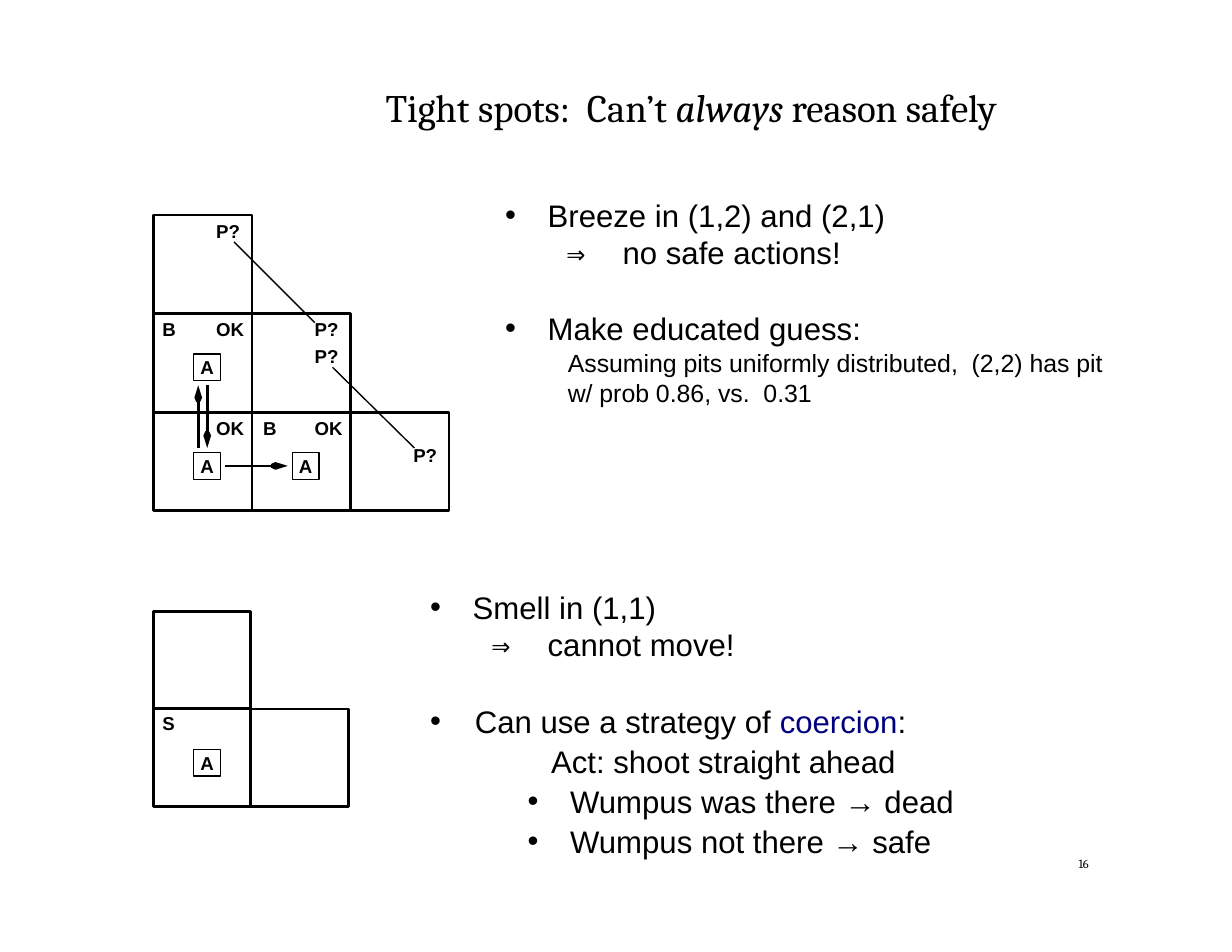
"""Build a slide on tight spots in the Wumpus world."""
import pptx
import pptx.util
import pptx.dml.color
import pptx.enum.shapes
import pptx.enum.text
from lxml import etree
from pptx.oxml.ns import qn

Inches = pptx.util.Inches
Pt = pptx.util.Pt
RGB = pptx.dml.color.RGBColor.from_string
KIND = pptx.enum.shapes.MSO_SHAPE
ALIGN = pptx.enum.text.PP_ALIGN
COLORS = {"ink": "000000", "navy": "00007E"}

deck = pptx.Presentation()
deck.slide_width = Inches(11)
deck.slide_height = Inches(8.5)
slide = deck.slides.add_slide(deck.slide_layouts[6])


def box(x, y, w, h, wrap=False, edge=0):
    """Return the text frame of a text box, or of a square if it has an edge."""
    place = [Inches(n) for n in (x, y, w, h)]
    if edge:
        shape = slide.shapes.add_shape(KIND.RECTANGLE, *place)
        shape.shadow.inherit = False
        shape.fill.background()
        shape.line.color.rgb = RGB(COLORS["ink"])
        shape.line.width = Pt(edge)
    else:
        shape = slide.shapes.add_textbox(*place)
    frame = shape.text_frame
    frame.word_wrap = wrap
    frame.margin_left = frame.margin_right = 0
    frame.margin_top = frame.margin_bottom = 0
    return frame


def write(frame, text, size=20, font="Arial", bold=False, left=0.01, hang=0,
          before=0, line=None, align=ALIGN.LEFT, bullet=False, tab=None):
    """Add a paragraph; text is a string or a list of (string, format) pairs."""
    para = frame.paragraphs[0]
    if para.runs:
        para = frame.add_paragraph()
    props = para._p.get_or_add_pPr()
    props.set("marL", str(Inches(left)))
    props.set("indent", str(Inches(-hang)))
    if bullet:
        etree.SubElement(props, qn("a:buFont"), typeface="Arial")
        etree.SubElement(props, qn("a:buChar"), char="•")
    else:
        etree.SubElement(props, qn("a:buNone"))
    if tab:
        stops = etree.SubElement(props, qn("a:tabLst"))
        etree.SubElement(stops, qn("a:tab"), pos=str(Inches(tab)), algn="l")
    para.alignment = align
    if before:
        para.space_before = Pt(before)
    if line:
        para.line_spacing = line
    for part, look in [(text, {})] if isinstance(text, str) else text:
        run = para.add_run()
        run.text = part
        run.font.size = Pt(size)
        run.font.name = look.get("font", font)
        run.font.bold = bold
        run.font.italic = look.get("italic", False)
        run.font.color.rgb = RGB(COLORS[look.get("color", "ink")])


title = box(0.42, 0.83, 8.81, 0.35, wrap=True)
write(title, [("Tight spots:  Can’t ", {}), ("always", {"italic": True}),
              (" reason safely", {})],
      size=25, font="Cambria", left=2.69, line=Pt(24.3), align=ALIGN.CENTER)

grids = [
    (1.37, 1.92, 0.88, [(0, 0), (0, 1), (1, 1), (0, 2), (1, 2), (2, 2)],
     [(0, 1), (0, 2), (1, 2)]),
    (1.37, 5.46, 0.87, [(0, 0), (0, 1), (1, 1)], [(0, 1)]),
]
for x, y, step, cells, agents in grids:
    for col, row in cells:
        box(x + col * step, y + row * step, step, step, edge=1.77)
    for col, row in agents:
        agent = box(x + col * step + 0.36, y + row * step + 0.36, 0.24, 0.24,
                    edge=0.88)
        agent.vertical_anchor = pptx.enum.text.MSO_ANCHOR.MIDDLE
        write(agent, "A", size=12, bold=True, left=0, align=ALIGN.CENTER)

labels = [
    ("P?", 1.92, 1.96), ("B", 1.44, 2.84), ("OK", 1.92, 2.84),
    ("P?", 2.8, 2.84), ("P?", 2.8, 3.08), ("OK", 1.92, 3.72),
    ("B", 2.34, 3.72), ("OK", 2.8, 3.72), ("P?", 3.68, 3.96),
    ("S", 1.44, 6.36),
]
for text, x, y in labels:
    write(box(x, y, 0.29, 0.2), text, size=12, bold=True)

links = [
    (1.77, 4, 1.77, 3.44, True), (1.85, 3.44, 1.85, 4, True),
    (2.01, 4.16, 2.57, 4.16, True),
    (2.09, 2.16, 2.81, 2.88, False), (2.97, 3.28, 3.7, 4, False),
]
for *ends, arrow in links:
    link = slide.shapes.add_connector(
        pptx.enum.shapes.MSO_CONNECTOR.STRAIGHT, *[Inches(n) for n in ends])
    link.line.color.rgb = RGB(COLORS["ink"])
    link.line.width = Pt(1.77 if arrow else 0.88)
    if arrow:
        etree.SubElement(link.line._get_or_add_ln(), qn("a:tailEnd"),
                         type="arrow", w="sm", len="lg")
    etree.SubElement(link._element.spPr, qn("a:effectLst"))

mono = {"font": "DejaVu Sans Mono"}
point = dict(left=0.39, hang=0.38, bullet=True)
result = dict(left=0.56, before=0.3, tab=1.08)

breeze = box(4.5, 1.75, 5.5, 1.92, wrap=True)
write(breeze, "Breeze in (1,2) and (2,1)", **point)
write(breeze, [("⇒\t", mono), ("no safe actions!", {})], **result)
write(breeze, "Make educated guess:", before=24.5, line=1.01, **point)
write(breeze, "Assuming pits uniformly distributed,  (2,2) has pit "
      "w/ prob 0.86, vs.  0.31", size=16, left=0.57, line=1.01)

smell = box(3.83, 5.25, 5.08, 2.46, wrap=True)
write(smell, "Smell in (1,1)", **point)
write(smell, [("⇒\t", mono), ("cannot move!", {})], **result)
write(smell, [("Can use a strategy of ", {}), ("coercion", {"color": "navy"}),
              (":", {})],
      left=0.41, hang=0.4, before=24.1, line=Pt(25), bullet=True)
write(smell, "Act: shoot straight ahead", left=1.09, before=0.8, line=Pt(25))
for text in ("Wumpus was there → dead", "Wumpus not there → safe"):
    write(smell, text, left=1.26, hang=0.38, before=0.8, line=Pt(25),
          bullet=True)

write(box(9.6, 7.66, 0.17, 0.12), "16", size=8, font="Cambria", left=0.03,
      line=Pt(8.6))

deck.save("out.pptx")
